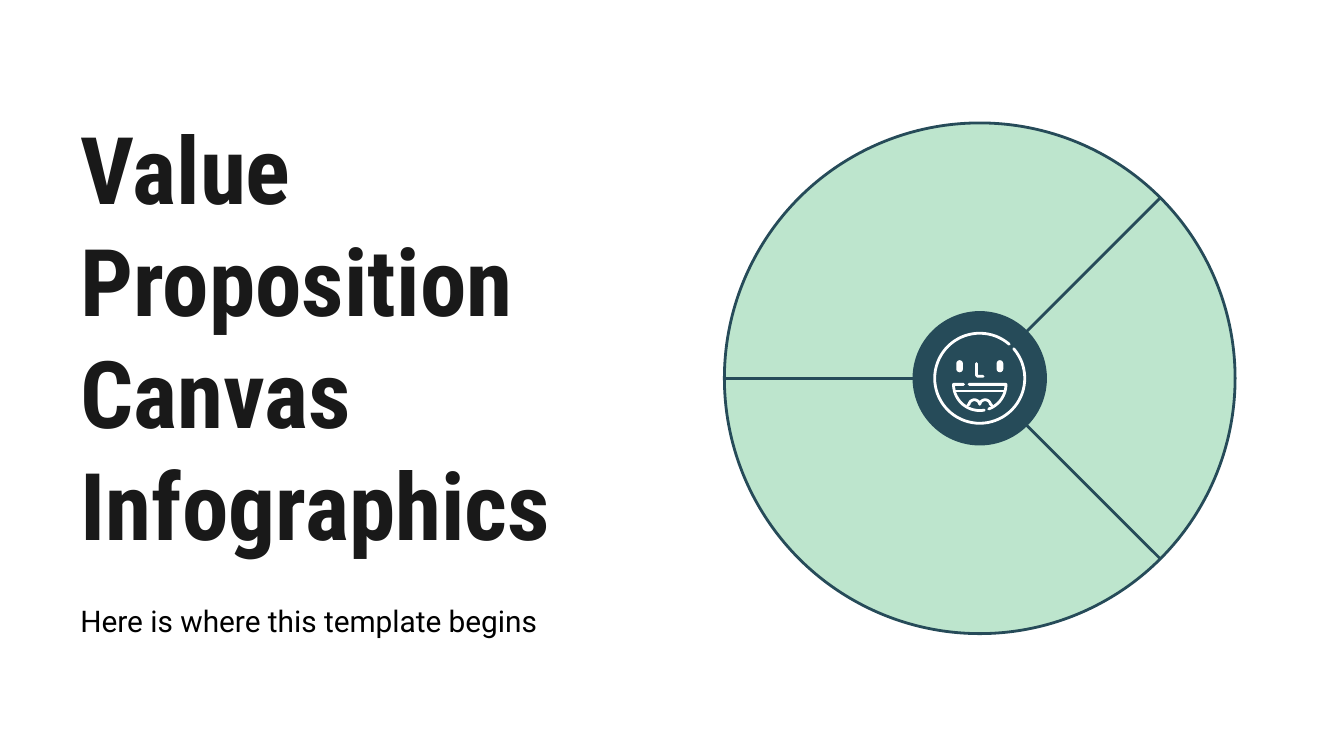
from dataclasses import dataclass
from math import cos, radians, sin

from lxml.etree import SubElement as Sub
from pptx import Presentation as Deck
from pptx.dml.color import RGBColor as Rgb
from pptx.enum.shapes import MSO_CONNECTOR as Link, MSO_SHAPE as Kind
from pptx.enum.text import MSO_ANCHOR as Anchor, MSO_AUTO_SIZE as Fit, PP_ALIGN as Align
from pptx.oxml.ns import qn
from pptx.util import Inches, Pt

COLS, ROWS = 100, 56.25
CELL = Inches(10) / COLS
HUB = (72.9, 28.15)


@dataclass(frozen=True)
class Theme:
    """Colours, fonts and sizes of the slide."""
    mint: str = "BDE5CD"
    teal: str = "264B59"
    white: str = "FFFFFF"
    ink: str = "191919"
    black: str = "000000"
    head: str = "Roboto Condensed"
    body: str = "Roboto"
    big: int = 50
    small: int = 16
    line: float = 1.5


LOOK = Theme()


def grid(*cells):
    """Turn grid cells into slide lengths."""
    return [round(cell * CELL) for cell in cells]


def polar(hub, size, angle):
    """Find the point at an angle, clockwise from the right."""
    turn = radians(angle)
    return hub[0] + size * cos(turn), hub[1] + size * sin(turn)


def arc(hub, size, start, end):
    """List the points of an arc at even steps."""
    steps = max(8, round(abs(end - start) / 5))
    return [polar(hub, size, start + (end - start) * i / steps) for i in range(steps + 1)]


def face(x, y):
    """Place a point measured from the hub."""
    return HUB[0] + x, HUB[1] + y


def pen(line, color):
    """Give a line its colour and width."""
    line.color.rgb = Rgb.from_string(color)
    line.width = Pt(LOOK.line)


def write(shape, box, text, font, size, color, bold=False):
    """Place a text and format its run."""
    shape.left, shape.top, shape.width, shape.height = grid(*box)
    frame = shape.text_frame
    frame.text = text
    frame.word_wrap = True
    frame.auto_size = Fit.NONE
    frame.vertical_anchor = Anchor.MIDDLE
    frame.margin_left = frame.margin_right = frame.margin_top = frame.margin_bottom = Inches(0.1)
    para = frame.paragraphs[0]
    para.alignment = Align.LEFT
    style = para.runs[0].font
    style.name, style.size, style.bold = font, Pt(size), bold
    style.color.rgb = Rgb.from_string(color)


def solid(slide, kind, hub, wide, high, fill, edge=None):
    """Add a filled shape centred on a point."""
    box = grid(hub[0] - wide / 2, hub[1] - high / 2, wide, high)
    shape = slide.shapes.add_shape(kind, *box)
    shape.shadow.inherit = False
    shape.fill.solid()
    shape.fill.fore_color.rgb = Rgb.from_string(fill)
    if edge:
        pen(shape.line, edge)
    else:
        shape.line.fill.background()
    return shape


def spoke(slide, angle):
    """Add a line from the hub to the rim."""
    ends = grid(*HUB, *polar(HUB, 19, angle))
    line = slide.shapes.add_connector(Link.STRAIGHT, *ends)
    pen(line.line, LOOK.teal)
    Sub(line._element.spPr, qn("a:effectLst"))


def stroke(slide, points):
    """Add an open white line with round ends."""
    first, *rest = [tuple(grid(*point)) for point in points]
    path = slide.shapes.build_freeform(*first)
    path.add_line_segments(rest, close=False)
    shape = path.convert_to_shape()
    shape.shadow.inherit = False
    shape.fill.background()
    pen(shape.line, LOOK.white)
    shape._element.spPr.find(qn("a:ln")).set("cap", "rnd")


def smile(slide):
    """Draw the face in the hub."""
    for side in (-1.5, 1.5):
        eye = solid(slide, Kind.ROUNDED_RECTANGLE, face(side, -0.9), 0.5, 0.9, LOOK.white)
        eye.adjustments[0] = 0.5
    lip = face(0, 0.45)
    tongue = [p for x in (-0.4, 0.4) for p in arc(face(x, 2), 0.4, 190, 350)]
    lines = (
        arc(HUB, 3.35, -41, 311),
        [face(-0.25, -1.1), face(-0.25, -0.25), face(-0.15, -0.15), face(0.25, -0.15)],
        [face(-0.8, 0.45), *arc(lip, 1.95, 0, 70)],
        [*arc(lip, 1.95, 80, 180), face(-1.2, 0.45)],
        [face(-1.8, 0.95), face(1.8, 0.95)],
        [face(-0.9, 2), *tongue, face(0.9, 2)],
    )
    for points in lines:
        stroke(slide, points)


def main():
    """Build the slide and save it."""
    deck = Deck()
    deck.slide_width, deck.slide_height = grid(COLS, ROWS)
    slide = deck.slides.add_slide(deck.slide_layouts[5])
    write(slide.shapes.title, (5, 7.8, 40.4, 34.3), "Value Proposition Canvas Infographics",
          LOOK.head, LOOK.big, LOOK.ink, True)
    note = slide.shapes.add_textbox(0, 0, 0, 0)
    write(note, (5, 43.8, 41.1, 4.7), "Here is where this template begins",
          LOOK.body, LOOK.small, LOOK.black)
    solid(slide, Kind.OVAL, HUB, 38, 38, LOOK.mint, LOOK.teal)
    for angle in (-45, 45, 180):
        spoke(slide, angle)
    solid(slide, Kind.OVAL, HUB, 10, 10, LOOK.teal)
    smile(slide)
    deck.save("out.pptx")


if __name__ == "__main__":
    main()
